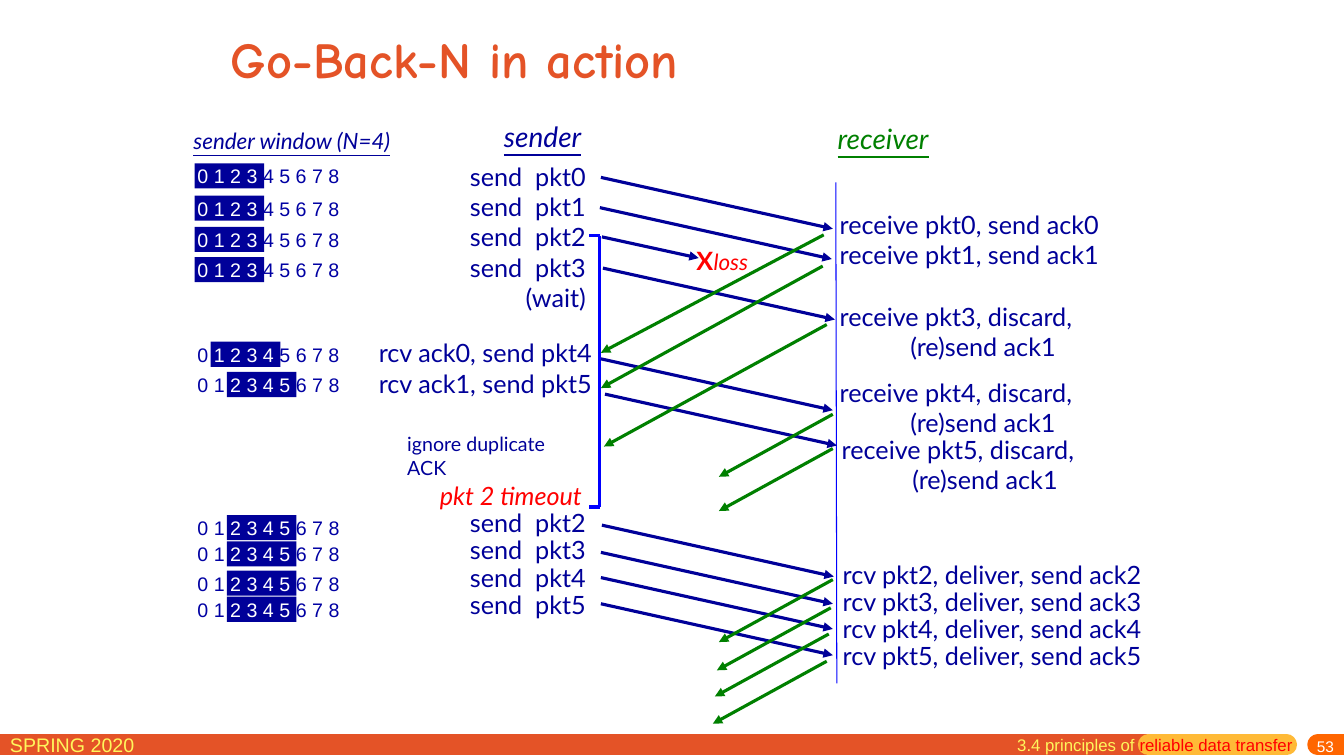
from dataclasses import dataclass, field
from typing import Optional

from lxml import etree
from pptx import Presentation
from pptx import util as u
from pptx.dml.color import RGBColor
from pptx.enum import shapes, text
from pptx.oxml.ns import qn

NAVY, BLUE, DIGIT = "000099", "0000FF", "0000A3"
GREEN, RED, WHITE = "008000", "FF0000", "FFFFFF"
ORANGE, AMBER, BADGE, LEMON = "E45327", "FFBA37", "FF6600", "FFF65C"
LEFT, RIGHT = text.PP_ALIGN.LEFT, text.PP_ALIGN.RIGHT


@dataclass
class Span:
    words: str
    color: str


@dataclass
class Line:
    spans: list[Span]
    indent: float = 0
    before: float = 0


@dataclass
class Label:
    left: float
    top: float
    width: float
    height: float
    lines: list[Line]
    size: float = 18
    font: str = "Lato"
    align: text.PP_ALIGN = LEFT
    spacing: float = 1
    wrap: bool = False
    style: dict = field(default_factory=dict)


@dataclass
class Stroke:
    x: float
    y: float
    dx: float
    dy: float
    color: str
    weight: float = 2.25
    arrow: bool = True
    cap: Optional[str] = None


def rgb(value: str) -> RGBColor:
    return RGBColor.from_string(value)


def apply(target, values: dict) -> None:
    for name, value in values.items():
        setattr(target, name, value)


def plain(*rows: str, color: str = NAVY) -> list[Line]:
    return [Line([Span(row, color)]) for row in rows]


def discarded(packet: str, before: float = 0) -> list[Line]:
    return [Line([Span(f"receive {packet}, discard,", NAVY)], before=before),
            Line([Span("(re)send ack1", NAVY)], indent=0.7)]


def write(frame, label: Label) -> None:
    for index, line in enumerate(label.lines):
        para = frame.paragraphs[0] if index == 0 else frame.add_paragraph()
        apply(para, {"alignment": label.align, "line_spacing": label.spacing})
        if line.before:
            para.space_before = u.Pt(line.before)
        if line.indent:
            para._p.get_or_add_pPr().set("marL", str(u.Inches(line.indent)))
        for part in line.spans:
            span = para.add_run()
            span.text = part.words
            apply(span.font, {"name": label.font, "size": u.Pt(label.size), **label.style})
            span.font.color.rgb = rgb(part.color)


def draw_label(page, label: Label) -> None:
    box = page.shapes.add_textbox(u.Inches(label.left), u.Inches(label.top),
                                  u.Inches(label.width), u.Inches(label.height))
    apply(box.text_frame, {"word_wrap": label.wrap,
                           "auto_size": text.MSO_AUTO_SIZE.SHAPE_TO_FIT_TEXT})
    write(box.text_frame, label)


def draw_stroke(page, stroke: Stroke) -> None:
    connector = page.shapes.add_connector(
        shapes.MSO_CONNECTOR.STRAIGHT, u.Inches(stroke.x), u.Inches(stroke.y),
        u.Inches(stroke.x + stroke.dx), u.Inches(stroke.y + stroke.dy))
    connector.line.color.rgb = rgb(stroke.color)
    connector.line.width = u.Pt(stroke.weight)
    properties = connector._element.spPr
    outline = properties.find(qn("a:ln"))
    if stroke.cap:
        outline.set("cap", stroke.cap)
    if stroke.arrow:
        etree.SubElement(outline, qn("a:tailEnd")).set("type", "triangle")
    etree.SubElement(properties, qn("a:effectLst"))


def draw_window(page, first: int, top: float) -> None:
    """Sequence numbers 0 to 8 with four of them highlighted."""
    bar = page.shapes.add_shape(
        shapes.MSO_SHAPE.RECTANGLE, u.Inches(1.93 + 0.16 * first), u.Inches(top),
        u.Inches(0.69), u.Inches(0.25))
    bar.shadow.inherit = False
    bar.fill.solid()
    bar.fill.fore_color.rgb = rgb(NAVY)
    bar.line.fill.background()
    digits = [f"{number} " for number in range(8)] + ["8"]
    parts = [(digits[:first], DIGIT), (digits[first:first + 4], WHITE),
             (digits[first + 4:], DIGIT)]
    spans = [Span("".join(part), color) for part, color in parts if part]
    draw_label(page, Label(1.86, top - 0.04, 1.65, 0.33, [Line(spans)], 14, "Arial"))


ITALIC = {"italic": True}
HEADING = {"italic": True, "underline": True}

FOOTER_BARS = [
    Stroke(0, 7.39, 11.39, 0, ORANGE, 15, False, "rnd"),
    Stroke(11.39, 7.39, 1.37, 0, AMBER, 15, False, "rnd"),
    Stroke(13.07, 7.39, 0.26, 0, BADGE, 15, False, "rnd"),
]

LABELS = [
    # Column headings
    Label(1.82, 1.21, 2.35, 0.37, plain("sender window (N=4)"), 16, style=HEADING),
    Label(4.9, 1.14, 1.02, 0.43, plain("sender"), 20, style=HEADING),
    Label(8.21, 1.16, 1.17, 0.43, plain("receiver", color=GREEN), 20, style=HEADING),
    # Sender events
    Label(4.55, 1.55, 1.36, 1.6,
          plain(*(f"send  pkt{n}" for n in range(4)), "(wait)"), align=RIGHT),
    Label(3.61, 3.3, 2.36, 0.7,
          plain("rcv ack0, send pkt4", "rcv ack1, send pkt5"), align=RIGHT),
    Label(3.94, 4.24, 1.98, 0.57, plain("ignore duplicate ACK"), 14, wrap=True),
    Label(4.19, 4.79, 1.68, 0.33, plain("pkt 2 timeout", color=RED),
          align=RIGHT, spacing=0.75, style=ITALIC),
    Label(4.55, 5.02, 1.36, 1.18,
          plain(*(f"send  pkt{n}" for n in range(2, 6))), align=RIGHT, spacing=0.9),
    # Receiver events
    Label(8.23, 2.03, 2.81, 1.6,
          plain("receive pkt0, send ack0", "receive pkt1, send ack1")
          + discarded("pkt3", before=22)),
    Label(8.23, 3.69, 2.64, 0.7, discarded("pkt4")),
    Label(8.25, 4.26, 2.64, 0.7, discarded("pkt5")),
    Label(8.26, 5.53, 3.24, 1.18,
          plain(*(f"rcv pkt{n}, deliver, send ack{n}" for n in range(2, 6))), spacing=0.9),
    # Lost packet
    Label(6.81, 2.38, 0.37, 0.4, plain("X", color=RED), style={"bold": True}),
    Label(6.98, 2.41, 0.57, 0.37, plain("loss", color=RED), 16, style=ITALIC),
    # Footer
    Label(0, 7.22, 2.29, 0.31, plain("SPRING 2020", color=LEMON), 14, "Arial", wrap=True),
    Label(9.99, 7.24, 3.01, 0.31,
          [Line([Span("3.4 principles of ", LEMON), Span("reliable data transfer", RED)])],
          12, "Arial", wrap=True),
]

PACKET_STARTS = [(5.96, 1.76), (5.95, 2.06), (5.98, 2.66), (5.96, 3.56), (6, 3.91),
                 (5.97, 5.21), (5.96, 5.48), (5.96, 5.73), (5.96, 5.99)]
SHORT_ACK_STARTS = [(8.26, 4.11), (8.26, 4.45), (8.26, 5.75),
                    (8.24, 6.03), (8.22, 6.29), (8.2, 6.56)]
STROKES = [
    # Receiver time line and timeout bracket
    Stroke(8.29, 1.81, 0.01, 4.97, BLUE, 0.75, False),
    Stroke(5.95, 2.34, 0, 2.69, BLUE, arrow=False),
    *(Stroke(5.95, y, -0.11, 0, BLUE, arrow=False) for y in (2.34, 5.03)),
    # Packets and acknowledgements
    *(Stroke(x, y, 2.3, 0.51, NAVY) for x, y in PACKET_STARTS),
    Stroke(5.97, 2.35, 0.96, 0.21, NAVY),
    Stroke(8.17, 2.33, -2.21, 1.17, GREEN),
    Stroke(8.16, 2.64, -2.2, 1.21, GREEN),
    Stroke(8.2, 3.22, -2.21, 1.21, GREEN),
    *(Stroke(x, y, -1.13, 0.62, GREEN) for x, y in SHORT_ACK_STARTS),
]

WINDOWS = [(0, 1.62), (0, 1.94), (0, 2.25), (0, 2.55), (1, 3.39), (2, 3.69),
           (2, 5.11), (2, 5.37), (2, 5.66), (2, 5.92)]


def main() -> None:
    deck = Presentation()
    apply(deck, {"slide_width": u.Inches(13.33), "slide_height": u.Inches(7.5)})
    page = deck.slides.add_slide(deck.slide_layouts[5])

    # Title
    title = page.shapes.title
    apply(title, {"left": u.Inches(2.19), "top": u.Inches(0.22),
                  "width": u.Inches(8.5), "height": u.Inches(0.71)})
    title.text_frame.vertical_anchor = text.MSO_ANCHOR.MIDDLE
    write(title.text_frame, Label(2.19, 0.22, 8.5, 0.71,
                                  plain("Go-Back-N in action", color=ORANGE), 36,
                                  "Comic Neue", style={"bold": True}))

    # Diagram and footer
    for stroke in FOOTER_BARS + STROKES:
        draw_stroke(page, stroke)
    for first, top in WINDOWS:
        draw_window(page, first, top)
    for label in LABELS:
        draw_label(page, label)

    # Page number
    draw_label(page, Label(12.73, 7.26, 0.6, 0.27, plain("53", color=WHITE),
                           11, "Arial", RIGHT, wrap=True))
    deck.save("out.pptx")


if __name__ == "__main__":
    main()
